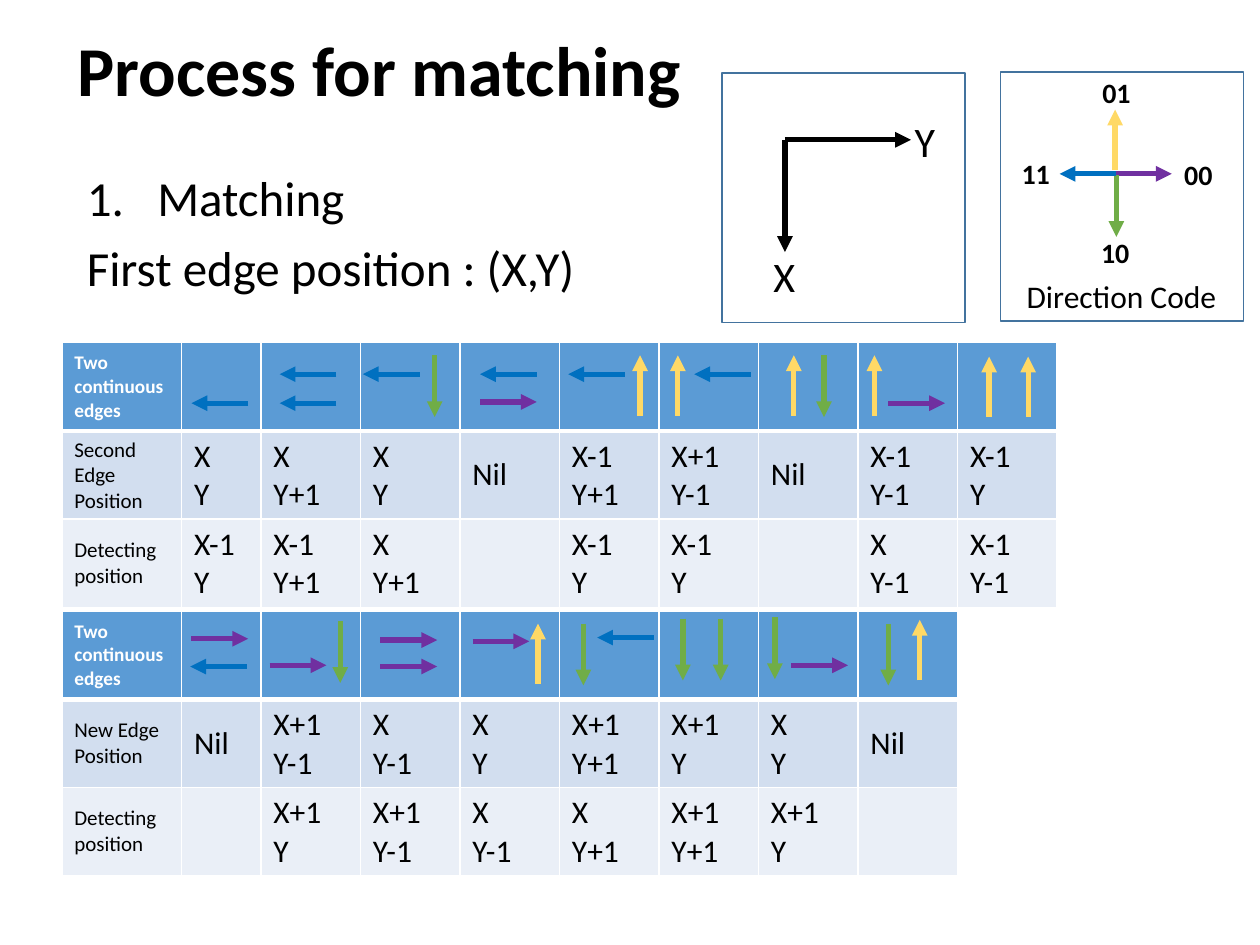
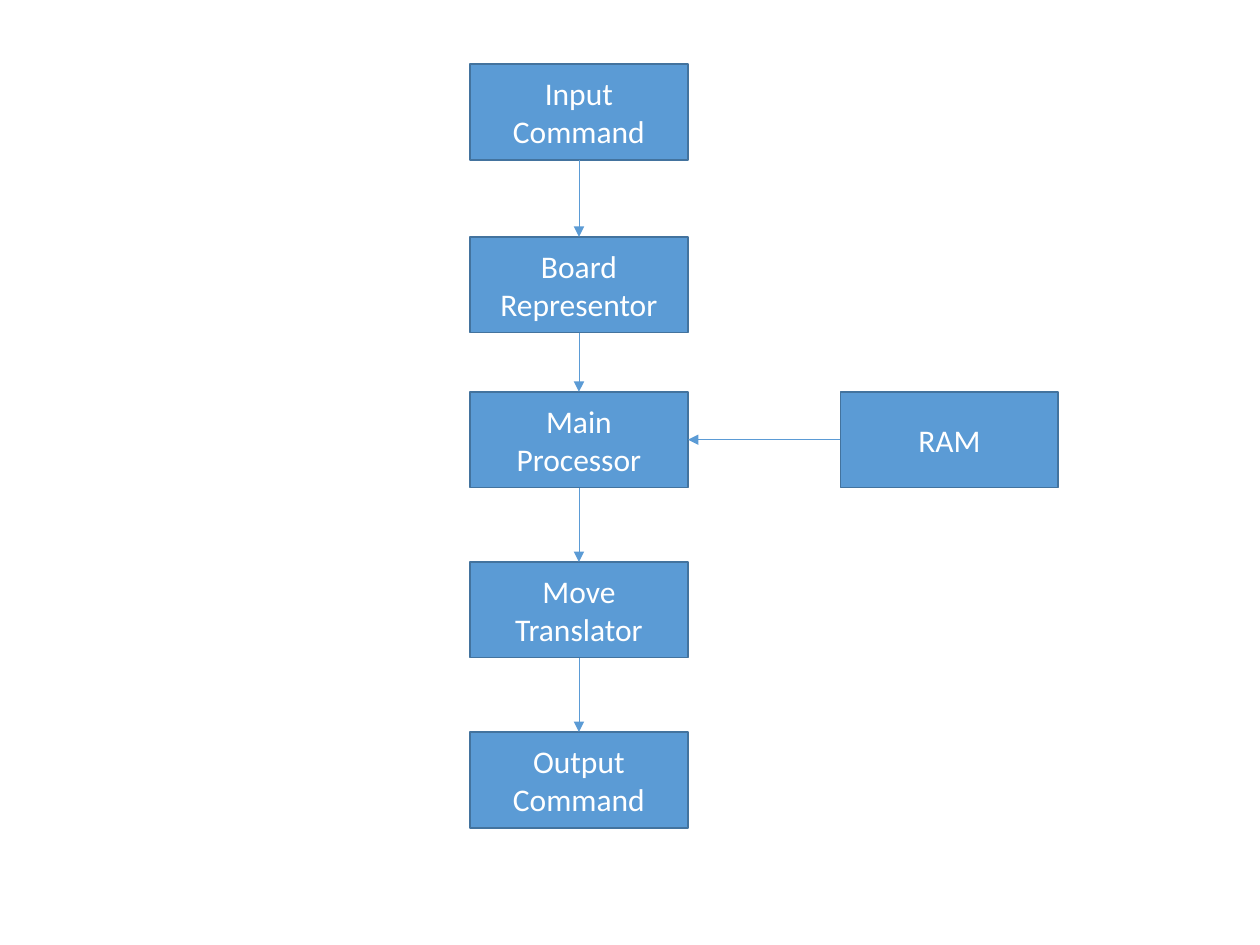
import pptx
import pptx.util
import pptx.dml.color
import pptx.enum.shapes
import pptx.enum.text
import pptx.oxml
import pptx.oxml.ns
import lxml.etree

Inches, Pt = pptx.util.Inches, pptx.util.Pt
CENTER = pptx.enum.text.PP_ALIGN.CENTER
LEFT = pptx.enum.text.PP_ALIGN.LEFT
MIDDLE = pptx.enum.text.MSO_ANCHOR.MIDDLE
RECT = pptx.enum.shapes.MSO_SHAPE.RECTANGLE
STRAIGHT = pptx.enum.shapes.MSO_CONNECTOR.STRAIGHT

# Shared look
FONT = "Calibri"
COLORS = {
    "ink": "000000", "white": "FFFFFF", "blue": "5B9BD5", "edge": "43739E",
    "band_dark": "D2DEEF", "band_light": "EAEFF7",
    "left": "0070C0", "right": "7030A0", "up": "FFD966", "down": "70AD47",
}

# Slide 1: title, body and direction arrows
TITLE = "Process for matching"
BODY = ["Matching", "First edge position : (X,Y)"]
STEPS = {"left": (-0.45, 0), "right": (0.45, 0), "up": (0, -0.48), "down": (0, 0.49)}
PANEL_SIZE = (1.93, 1.98)
AXES_PANEL, CODE_PANEL = (5.73, 0.58), (7.94, 0.57)
AXIS_ORIGIN = (6.23, 1.11)
AXES = [("X", 6.04, 1.94, 6.23, 2.0), ("Y", 7.16, 0.87, 7.23, 1.11)]
CODE_ARROWS = [("right", 8.85, 1.38), ("up", 8.85, 1.35),
               ("down", 8.86, 1.39), ("left", 8.86, 1.38)]
CODE_LABELS = [("00", 9.3, 1.2), ("01", 8.65, 0.55), ("10", 8.64, 1.82), ("11", 8.01, 1.19)]

# Each table: top, rows of cells, arrows as (direction, start x, start y)
TABLES = [
    (2.72, [
        ["Two continuous edges"] + [""] * 9,
        ["Second Edge Position", "X\nY", "X\nY+1", "X\nY", "Nil", "X-1\nY+1",
         "X+1\nY-1", "Nil", "X-1\nY-1", "X-1\nY"],
        ["Detecting position", "X-1\nY", "X-1\nY+1", "X\nY+1", "", "X-1\nY",
         "X-1\nY", "", "X\nY-1", "X-1\nY-1"],
    ], [
        ("left", 1.97, 3.2),
        ("left", 2.67, 2.97), ("left", 2.67, 3.2),
        ("left", 3.33, 2.97), ("down", 3.45, 2.82),
        ("left", 4.26, 2.97), ("right", 3.81, 3.19),
        ("left", 4.96, 2.97), ("up", 5.08, 3.3),
        ("up", 5.38, 3.3), ("left", 5.96, 2.97),
        ("up", 6.3, 3.3), ("down", 6.54, 2.82),
        ("up", 6.94, 3.3), ("right", 7.05, 3.2),
        ("up", 7.85, 3.31), ("up", 8.16, 3.31),
    ]),
    (4.85, [
        ["Two continuous edges"] + [""] * 8,
        ["New Edge Position", "Nil", "X+1\nY-1", "X\nY-1", "X\nY", "X+1\nY+1",
         "X+1\nY", "X\nY", "Nil"],
        ["Detecting position", "", "X+1\nY", "X+1\nY-1", "X\nY-1", "X\nY+1",
         "X+1\nY+1", "X+1\nY", ""],
    ], [
        ("right", 1.52, 5.07), ("left", 1.96, 5.29),
        ("right", 2.14, 5.28), ("down", 2.7, 4.93),
        ("right", 3.02, 5.08), ("right", 3.02, 5.29),
        ("right", 3.75, 5.09), ("up", 4.27, 5.43),
        ("down", 4.63, 4.95), ("left", 5.19, 5.06),
        ("down", 5.42, 4.91), ("down", 5.72, 4.91),
        ("down", 6.15, 4.9), ("right", 6.28, 5.28),
        ("down", 7.05, 4.95), ("up", 7.3, 5.4),
    ]),
]
TABLE_LEFT, ROW_HEIGHT = 0.49, 0.7
FIRST_COLS, OTHER_COL = [0.95, 0.63], 0.79

# Slide 2: flow boxes from top to bottom, with the memory beside one of them
BOX_SIZE, FLOW_LEFT, MEMORY_LEFT = (1.73, 0.76), 3.73, 6.67
FLOW = [("Input\nCommand", 0.51), ("Board Representor", 1.88), ("Main Processor", 3.11),
        ("Move Translator", 4.46), ("Output\nCommand", 5.81)]
MEMORY, MEMORY_ROW = "RAM", 2


def rgb(name):
    return pptx.dml.color.RGBColor.from_string(COLORS[name])


def style(p, size, color="ink", bold=False, align=LEFT):
    p.alignment = align
    p.font.name, p.font.size, p.font.bold = FONT, Pt(size), bold
    p.font.color.rgb = rgb(color)


def write(tf, text, *look):
    tf.text = text
    for p in tf.paragraphs:
        style(p, *look)


def add_label(shapes, text, x, y, w, h, *look):
    tf = shapes.add_textbox(*map(Inches, (x, y, w, h))).text_frame
    tf.word_wrap = False
    tf.auto_size = pptx.enum.text.MSO_AUTO_SIZE.SHAPE_TO_FIT_TEXT
    write(tf, text, *look)
    return tf


def add_rect(shapes, at, size, fill=None):
    sp = shapes.add_shape(RECT, *map(Inches, at + size))
    sp.shadow.inherit = False
    if fill:
        sp.fill.solid()
        sp.fill.fore_color.rgb = rgb(fill)
    else:
        sp.fill.background()
    sp.line.color.rgb, sp.line.width = rgb("edge"), Pt(1)
    return sp


def add_arrow(shapes, start, end, color, width=3):
    c = shapes.add_connector(STRAIGHT, *map(Inches, start + end))
    c.line.color.rgb, c.line.width = rgb(color), Pt(width)
    tail = lxml.etree.SubElement(c.line._get_or_add_ln(), pptx.oxml.ns.qn("a:tailEnd"))
    tail.set("type", "triangle")
    lxml.etree.SubElement(c._element.spPr, pptx.oxml.ns.qn("a:effectLst"))
    return c


def add_direction(shapes, direction, x, y):
    dx, dy = STEPS[direction]
    add_arrow(shapes, (x, y), (x + dx, y + dy), direction)


def set_borders(cell, **widths):
    for side in "LRTB":
        cell._tc.get_or_add_tcPr().append(pptx.oxml.parse_xml(
            f'<a:ln{side} {pptx.oxml.ns.nsdecls("a")} w="{Pt(widths.get(side, 1))}">'
            f'<a:solidFill><a:srgbClr val="{COLORS["white"]}"/></a:solidFill></a:ln{side}>'))


def add_edge_table(s, top, rows):
    widths = FIRST_COLS + [OTHER_COL] * (len(rows[0]) - len(FIRST_COLS))
    table = s.shapes.add_table(len(rows), len(widths), *map(Inches, (
        TABLE_LEFT, top, sum(widths), ROW_HEIGHT * len(rows)))).table
    for col, width in zip(table.columns, widths):
        col.width = Inches(width)
    fills = ["blue", "band_dark", "band_light"]
    rules = [{"B": 3}, {"T": 3}, {}]
    for i, row in enumerate(rows):
        for j, text in enumerate(row):
            cell = table.cell(i, j)
            set_borders(cell, **rules[i])
            cell.fill.solid()
            cell.fill.fore_color.rgb = rgb(fills[i])
            cell.vertical_anchor = MIDDLE
            if i == 0:
                write(cell.text_frame, text, 11, "white", True)
            else:
                write(cell.text_frame, text, 18 if j else 12)


def build_matching(s):
    # Numbered body
    tf = s.shapes.add_textbox(*map(Inches, (0.59, 1.33, 8.62, 4.76))).text_frame
    tf.word_wrap = True
    write(tf, "\n".join(BODY), 28)
    for p in tf.paragraphs:
        p.line_spacing, p.space_before = 0.9, Pt(10)
    pPr = tf.paragraphs[0]._p.get_or_add_pPr()
    pPr.set("marL", str(Inches(0.56)))
    pPr.set("indent", str(-Inches(0.56)))
    pPr.find(pptx.oxml.ns.qn("a:defRPr")).addprevious(pptx.oxml.parse_xml(
        f'<a:buAutoNum {pptx.oxml.ns.nsdecls("a")} type="arabicPeriod"/>'))

    # Title, led by one taller space
    tf = add_label(s.shapes, " ", 0.32, -0.03, 5.21, 1.01, 54, "ink", True, CENTER)
    tf.paragraphs[0].runs[0].font.size = Pt(54)
    r = tf.paragraphs[0].add_run()
    r.text, r.font.size = TITLE, Pt(40)

    # Tables with their arrows
    for top, rows, arrows in TABLES:
        add_edge_table(s, top, rows)
        group = s.shapes.add_group_shape().shapes
        for arrow in arrows:
            add_direction(group, *arrow)

    # Direction code panel
    group = s.shapes.add_group_shape().shapes
    add_rect(group, CODE_PANEL, PANEL_SIZE)
    add_label(group, "Direction Code", 8.05, 2.15, 1.73, 0.4, 18)
    for arrow in CODE_ARROWS:
        add_direction(group, *arrow)
    for text, x, y in CODE_LABELS:
        add_label(group, text, x, y, 0.43, 0.37, 16, "ink", True)

    # Axes panel
    group = s.shapes.add_group_shape().shapes
    add_rect(group, AXES_PANEL, PANEL_SIZE)
    for text, x, y, end_x, end_y in AXES:
        add_arrow(group, AXIS_ORIGIN, (end_x, end_y), "ink")
        add_label(group, text, x, y, 0.38, 0.5, 24)


def add_box(s, text, x, y):
    sp = add_rect(s.shapes, (x, y), BOX_SIZE, "blue")
    sp.text_frame.word_wrap = True
    sp.text_frame.vertical_anchor = MIDDLE
    write(sp.text_frame, text, 18, "white", False, CENTER)
    return sp


def join(s, source, source_side, target, target_side):
    c = add_arrow(s.shapes, (0, 0), (1, 1), "blue", 0.5)
    c.begin_connect(source, source_side)
    c.end_connect(target, target_side)


def build_flow(s):
    boxes = [add_box(s, text, FLOW_LEFT, y) for text, y in FLOW]
    memory = add_box(s, MEMORY, MEMORY_LEFT, FLOW[MEMORY_ROW][1])
    for upper, lower in zip(boxes, boxes[1:]):
        join(s, upper, 2, lower, 0)
    join(s, memory, 1, boxes[MEMORY_ROW], 3)


def main():
    prs = pptx.Presentation()
    prs.slide_width, prs.slide_height = Inches(10), Inches(7.5)
    for build in (build_matching, build_flow):
        build(prs.slides.add_slide(prs.slide_layouts[6]))
    prs.save("out.pptx")


if __name__ == "__main__":
    main()
